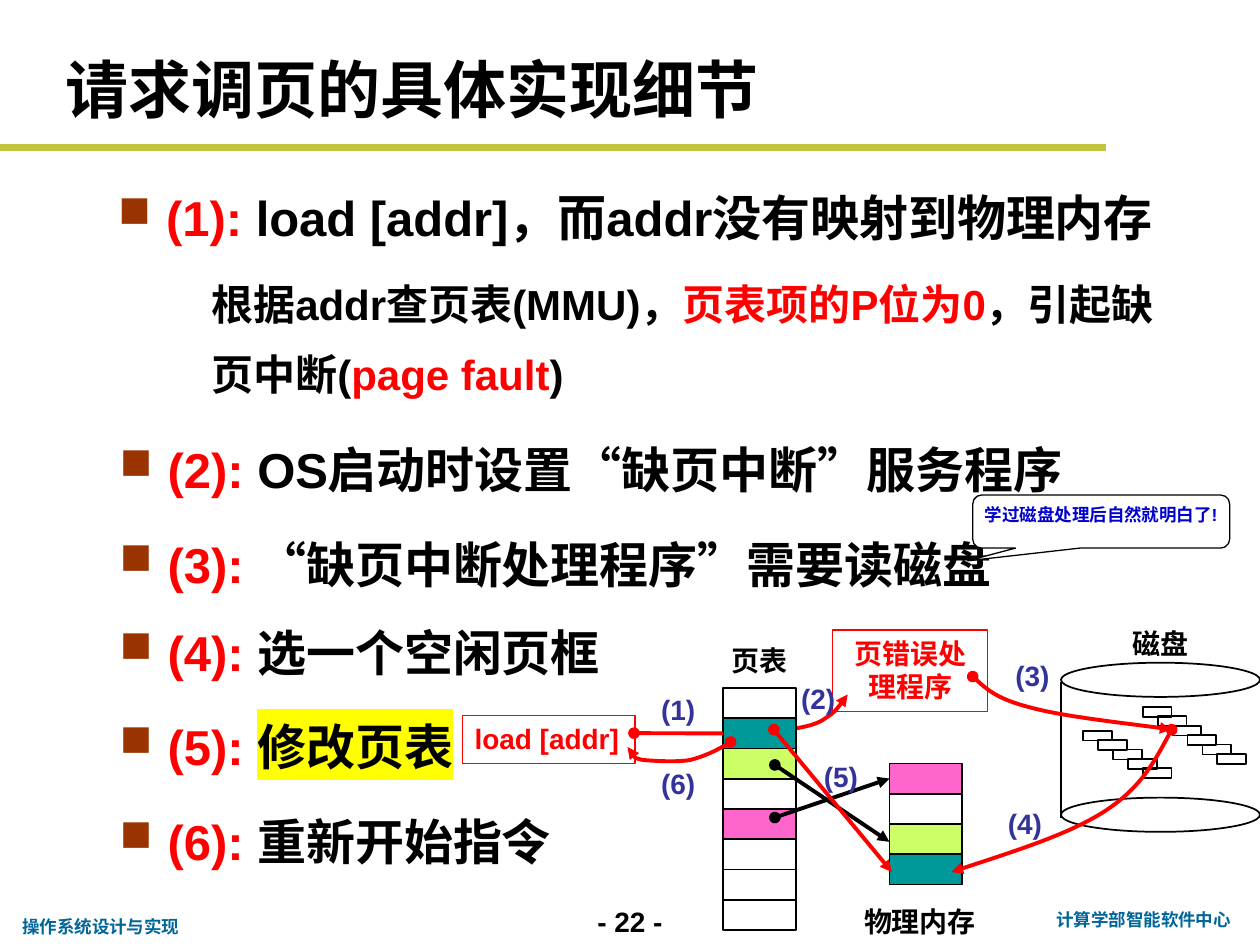
from dataclasses import dataclass
from typing import Optional

from lxml.etree import SubElement
from pptx import Presentation
from pptx.dml.color import RGBColor
from pptx.enum.shapes import MSO_CONNECTOR, MSO_SHAPE
from pptx.enum.text import MSO_ANCHOR, PP_ALIGN
from pptx.oxml.ns import qn
from pptx.util import Cm, Pt

BLACK, WHITE, RED = "000000", "FFFFFF", "FF0000"
TEAL, LIME, PINK = "009999", "CCFF66", "FF66CC"
ROW_HEIGHT, ROW_WIDTH = 0.61, 1.47


@dataclass
class Run:
    text: str
    color: str = BLACK
    highlight: Optional[str] = None


@dataclass
class Step:
    left: float
    top: float
    runs: list


@dataclass
class Label:
    text: str
    left: float
    top: float


@dataclass
class Column:
    left: float
    top: float
    fills: list


@dataclass
class Staircase:
    left: float
    top: float
    count: int


def rgb(color: str) -> RGBColor:
    return RGBColor.from_string(color)


def write_text(shape, runs, *, size=16, color=BLACK, font="Arial", align=PP_ALIGN.LEFT,
               anchor=MSO_ANCHOR.TOP, wrap=True, spacing=None, margin=None,
               indent=None, bullet=None):
    frame = shape.text_frame
    frame.word_wrap = wrap
    frame.vertical_anchor = anchor
    if margin is not None:
        frame.margin_left = frame.margin_right = Cm(margin)
    paragraph = frame.paragraphs[0]
    paragraph.alignment = align
    if spacing:
        paragraph.line_spacing = spacing
    properties = paragraph._p.get_or_add_pPr()
    if indent:
        properties.set("marL", str(Cm(indent)))
        properties.set("indent", str(Cm(-indent if bullet else 0)))
    if bullet:
        bullet_color = SubElement(properties, qn("a:buClr"))
        SubElement(bullet_color, qn("a:srgbClr"), val="993300")
        SubElement(properties, qn("a:buSzPct"), val="90000")
        SubElement(properties, qn("a:buChar"), char=bullet)
    if isinstance(runs, str):
        runs = [Run(runs, color)]
    for item in runs:
        run = paragraph.add_run()
        run.text = item.text
        run.font.size = Pt(size)
        run.font.bold = True
        run.font.color.rgb = rgb(item.color)
        if item.highlight:
            run_properties = run._r.get_or_add_rPr()
            highlight = SubElement(run_properties, qn("a:highlight"))
            SubElement(highlight, qn("a:srgbClr"), val=item.highlight)
        run.font.name = font


def add_text(slide, left: float, top: float, width: float, height: float, runs, **style):
    box = slide.shapes.add_textbox(Cm(left), Cm(top), Cm(width), Cm(height))
    write_text(box, runs, **style)
    return box


def add_box(slide, left: float, top: float, width: float, height: float,
            kind=MSO_SHAPE.RECTANGLE, fill=None, line=BLACK, weight=1.0):
    shape = slide.shapes.add_shape(kind, Cm(left), Cm(top), Cm(width), Cm(height))
    shape.shadow.inherit = False
    if fill:
        shape.fill.solid()
        shape.fill.fore_color.rgb = rgb(fill)
    else:
        shape.fill.background()
    shape.line.color.rgb = rgb(line)
    shape.line.width = Pt(weight)
    return shape


def add_ends(shape, head, tail):
    outline = shape._element.spPr.find(qn("a:ln"))
    for tag, kind in (("a:headEnd", head), ("a:tailEnd", tail)):
        if kind:
            SubElement(outline, qn(tag), type=kind)


def add_line(slide, start: tuple, end: tuple, color=BLACK, weight=2.25,
             head=None, tail=None, target=None):
    connector = slide.shapes.add_connector(
        MSO_CONNECTOR.STRAIGHT, *(Cm(value) for value in start + end))
    connector.line.color.rgb = rgb(color)
    connector.line.width = Pt(weight)
    add_ends(connector, head, tail)
    SubElement(connector._element.spPr, qn("a:effectLst"))
    if target is not None:
        connector.end_connect(target, 1)


def add_curve(slide, points: list):
    start, *others = [(Cm(x), Cm(y)) for x, y in points]
    builder = slide.shapes.build_freeform(*start)
    builder.add_line_segments(others, close=False)
    shape = builder.convert_to_shape()
    segments = list(shape._element.iter(qn("a:lnTo")))
    for index in range(0, len(segments), 3):
        group = segments[index:index + 3]
        bezier = group[0].makeelement(qn("a:cubicBezTo"))
        group[0].addprevious(bezier)
        for segment in group:
            bezier.append(segment[0])
            segment.getparent().remove(segment)
    shape.shadow.inherit = False
    shape.fill.background()
    shape.line.color.rgb = rgb(RED)
    shape.line.width = Pt(2.25)
    add_ends(shape, "oval", "triangle")


def add_column(slide, column: Column) -> list:
    return [add_box(slide, column.left, column.top + row * ROW_HEIGHT,
                    ROW_WIDTH, ROW_HEIGHT, fill=fill)
            for row, fill in enumerate(column.fills)]


def add_staircase(slide, staircase: Staircase):
    for index in range(staircase.count):
        add_box(slide, staircase.left + index * 0.3, staircase.top + index * 0.19, 0.58, 0.2)


def add_step(slide, step: Step):
    add_text(slide, step.left, step.top, 22, 2.41, step.runs,
             size=28, spacing=1.3, indent=0.97, bullet="■")


def draw_disk(slide):
    for top in (13.36, 16.08):
        add_box(slide, 21.39, top, 4.01, 0.69, kind=MSO_SHAPE.OVAL)
    add_line(slide, (21.39, 13.74), (21.39, 16.48), weight=1)
    for staircase in (Staircase(21.84, 14.73, 5), Staircase(23.04, 14.25, 6)):
        add_staircase(slide, staircase)


def draw_diagram(slide):
    draw_disk(slide)
    for caption, width in ((Label("物理内存", 17.17, 18.11), 2.79),
                           (Label("磁盘", 22.58, 12.5), 1.65),
                           (Label("页表", 14.5, 12.85), 1.65)):
        add_text(slide, caption.left, caption.top, width, 0.94, caption.text,
                 font="Comic Neue", wrap=False)
    load = add_box(slide, 9.32, 14.43, 3.48, 0.97, line=RED, weight=0.75)
    write_text(load, "load [addr]", color=RED)
    handler = add_box(slide, 16.79, 12.7, 3.12, 1.65, line=RED, weight=0.75)
    write_text(handler, "页错误处理程序", color=RED, align=PP_ALIGN.CENTER)

    add_curve(slide, [(15.9, 14.71), (16.18, 14.66), (16.46, 14.61), (16.64, 14.48),
                      (16.84, 14.35), (16.97, 14.17), (17.09, 14)])
    add_curve(slide, [(19.61, 13.64), (19.86, 13.87), (20.12, 14.1), (20.8, 14.27),
                      (21.46, 14.45), (23.14, 14.63), (23.62, 14.71)])
    page_table = add_column(slide, Column(
        14.58, 13.87, [None, TEAL, LIME, None, PINK, None, None, None]))
    memory = add_column(slide, Column(17.93, 15.39, [PINK, WHITE, LIME, TEAL]))
    add_curve(slide, [(23.62, 14.71), (23.29, 15.32), (22.99, 15.9), (22.23, 16.38),
                      (21.49, 16.84), (20.32, 17.2), (19.18, 17.58)])
    add_curve(slide, [(14.73, 14.96), (14.48, 15.11), (14.22, 15.24), (13.92, 15.32),
                      (13.64, 15.37), (13.18, 15.34), (12.95, 15.32),
                      (12.75, 15.27), (12.7, 15.16), (12.65, 15.06)])
    add_line(slide, (12.78, 14.78), (14.58, 14.78), RED, head="oval", target=page_table[1])
    add_line(slide, (15.62, 16.48), (17.93, 15.7), head="oval", tail="triangle",
             target=memory[0])
    add_line(slide, (15.62, 15.42), (17.93, 16.97), head="oval", tail="triangle")
    add_line(slide, (15.6, 14.71), (17.98, 17.58), RED, head="oval", tail="triangle")

    for label in (Label("(1)", 13.08, 13.84), Label("(2)", 15.9, 13.61),
                  Label("(3)", 20.22, 13.16), Label("(4)", 20.07, 16.13),
                  Label("(5)", 16.36, 15.19), Label("(6)", 13.08, 15.32)):
        add_text(slide, label.left, label.top, 1.34, 0.94, label.text, color="333399")


def main():
    presentation = Presentation()
    presentation.slide_width, presentation.slide_height = Cm(25.4), Cm(19.05)
    slide = presentation.slides.add_slide(presentation.slide_layouts[6])

    add_text(slide, 11.43, 18.11, 2.54, 0.94, "- 22 -", align=PP_ALIGN.CENTER)
    add_line(slide, (0, 2.97), (22.3, 2.97), "C1C43C", 4)
    add_text(slide, 20.96, 18.21, 4.19, 0.69, "计算学部智能软件中心",
             size=10, color="006699", align=PP_ALIGN.CENTER)
    add_text(slide, 0.2, 18.34, 3.71, 0.69, "操作系统设计与实现",
             size=10, color="006699", wrap=False)
    add_text(slide, 1.07, 0.84, 22.86, 1.88, "请求调页的具体实现细节",
             size=36, anchor=MSO_ANCHOR.MIDDLE)

    draw_diagram(slide)
    steps = [
        Step(2.13, 3.3, [Run("(1): ", RED), Run("load [addr]，而addr没有映射到物理内存")]),
        Step(2.16, 8.38, [Run("(2):", RED), Run(" OS启动时设置“缺页中断”服务程序")]),
        Step(2.16, 10.29, [Run("(3):", RED), Run(" “缺页中断处理程序”需要读磁盘")]),
        Step(2.16, 12.07, [Run("(4): ", RED), Run("选一个空闲页框")]),
        Step(2.16, 13.97, [Run("(5): ", RED), Run("修改页表", highlight="FFFF00")]),
        Step(2.16, 15.88, [Run("(6): ", RED), Run("重新开始指令")]),
    ]
    for step in steps:
        add_step(slide, step)
    add_text(slide, 2.74, 5.08, 20.96, 3.1,
             [Run("根据addr查页表(MMU)，"), Run("页表项的P位为0", RED),
              Run("，引起缺页中断("), Run("page fault", RED), Run(")")],
             size=24, spacing=1.4, indent=1.27)

    callout = add_box(slide, 19.61, 9.98, 5.18, 1.07,
                      kind=MSO_SHAPE.ROUNDED_RECTANGULAR_CALLOUT, fill=WHITE, weight=0.75)
    for index, value in enumerate((-0.52, 0.74, 0.17)):
        callout.adjustments[index] = value
    write_text(callout, "学过磁盘处理后自然就明白了!", size=10, color="0000CC",
               align=PP_ALIGN.CENTER, margin=0.1)

    presentation.save("out.pptx")


if __name__ == "__main__":
    main()
